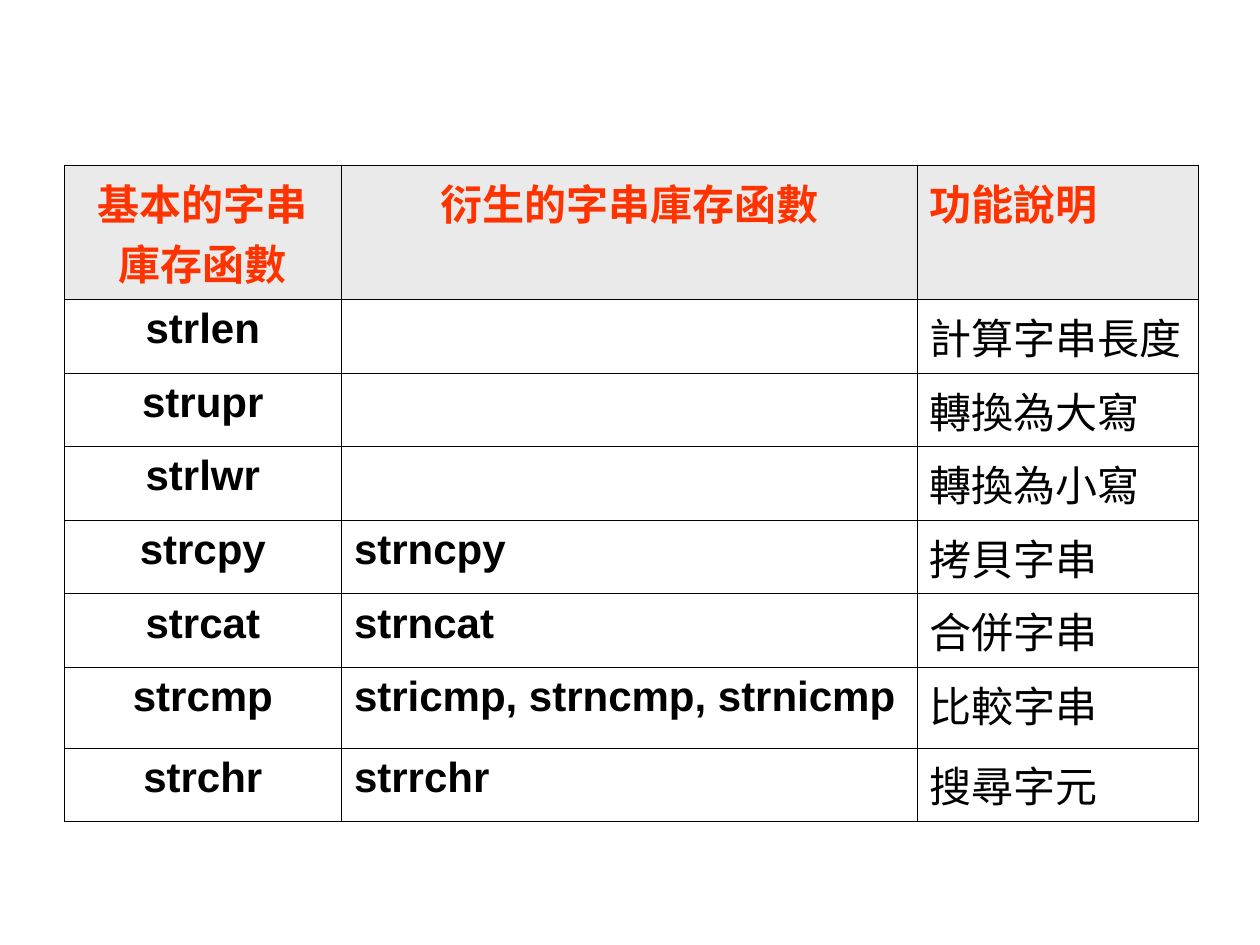
from typing import NamedTuple

from lxml import etree
from pptx import Presentation
from pptx import util as u
from pptx.dml.color import RGBColor
from pptx.enum import text
from pptx.oxml import ns


class Look(NamedTuple):
    face: str
    bold: bool
    tint: str
    align: text.PP_ALIGN


class Row(NamedTuple):
    high: float
    base: str
    kin: str
    use: str


MID, LEFT = text.PP_ALIGN.CENTER, text.PP_ALIGN.LEFT
HEAD = Look("Times New Roman", True, "FF3300", MID)
CODE = Look("Arial", True, "000000", MID)
NOTE = Look("Times New Roman", False, "000000", LEFT)
TOP = (HEAD, HEAD, HEAD._replace(align=LEFT))
BODY = (CODE, CODE._replace(align=LEFT), NOTE)
WIDE = (2.2, 4.57, 2.23)
ROWS = (
    Row(0.9, "基本的字串\n庫存函數", "衍生的字串庫存函數", "功能說明"),
    Row(0.57, "strlen", "", "計算字串長度"),
    Row(0.58, "strupr", "", "轉換為大寫"),
    Row(0.57, "strlwr", "", "轉換為小寫"),
    Row(0.5, "strcpy", "strncpy", "拷貝字串"),
    Row(0.5, "strcat", "strncat", "合併字串"),
    Row(0.64, "strcmp", "stricmp, strncmp, strnicmp", "比較字串"),
    Row(0.5, "strchr", "strrchr", "搜尋字元"),
)


def paint(item, tint: str) -> None:
    item.rgb = RGBColor.from_string(tint)


def edge(cell, side: str, thick: float) -> None:
    box = cell._tc.get_or_add_tcPr()
    line = etree.SubElement(box, ns.qn(f"a:ln{side}"), w=str(u.Pt(thick)))
    fill = etree.SubElement(line, ns.qn("a:solidFill"))
    etree.SubElement(fill, ns.qn("a:srgbClr"), val="000000")


def write(cell, words: str, look: Look) -> None:
    cell.text = words
    hang = u.Inches(0.38)
    for para in cell.text_frame.paragraphs:
        para.alignment = look.align
        props = para._p.get_or_add_pPr()
        props.set("marL", str(hang))
        props.set("indent", str(-hang))
        form = {"name": look.face, "size": u.Pt(24), "bold": look.bold}
        for run in para.runs:
            for key, val in form.items():
                setattr(run.font, key, val)
            paint(run.font.color, look.tint)


def draw(cell, row: int, col: int, words: str) -> None:
    inset = {
        "margin_left": u.Inches(0.1),
        "margin_right": u.Inches(0.1),
        "margin_top": u.Inches(0.05),
        "margin_bottom": u.Inches(0.05),
    }
    for key, val in inset.items():
        setattr(cell, key, val)
    for side in "LRTB":
        rule = col > 0 and (row, side) in ((0, "B"), (1, "T"))
        edge(cell, side, 0.96 if rule else 0.45)
    if row == 0:
        cell.fill.solid()
        paint(cell.fill.fore_color, "EAEAEA")
    else:
        cell.fill.background()
    if words:
        write(cell, words, (BODY if row else TOP)[col])


def main() -> None:
    deck = Presentation()
    deck.slide_width, deck.slide_height = u.Inches(10), u.Inches(7.5)
    slide = deck.slides.add_slide(deck.slide_layouts[6])
    frame = slide.shapes.add_table(
        len(ROWS), len(WIDE), u.Inches(0.51), u.Inches(1.31),
        u.Inches(sum(WIDE)), u.Inches(sum(row.high for row in ROWS)),
    )
    grid = frame.table
    grid.first_row = grid.horz_banding = False
    for col, wide in enumerate(WIDE):
        grid.columns[col].width = u.Inches(wide)
    for num, row in enumerate(ROWS):
        grid.rows[num].height = u.Inches(row.high)
        for col, words in enumerate((row.base, row.kin, row.use)):
            draw(grid.cell(num, col), num, col, words)
    deck.save("out.pptx")


if __name__ == "__main__":
    main()
